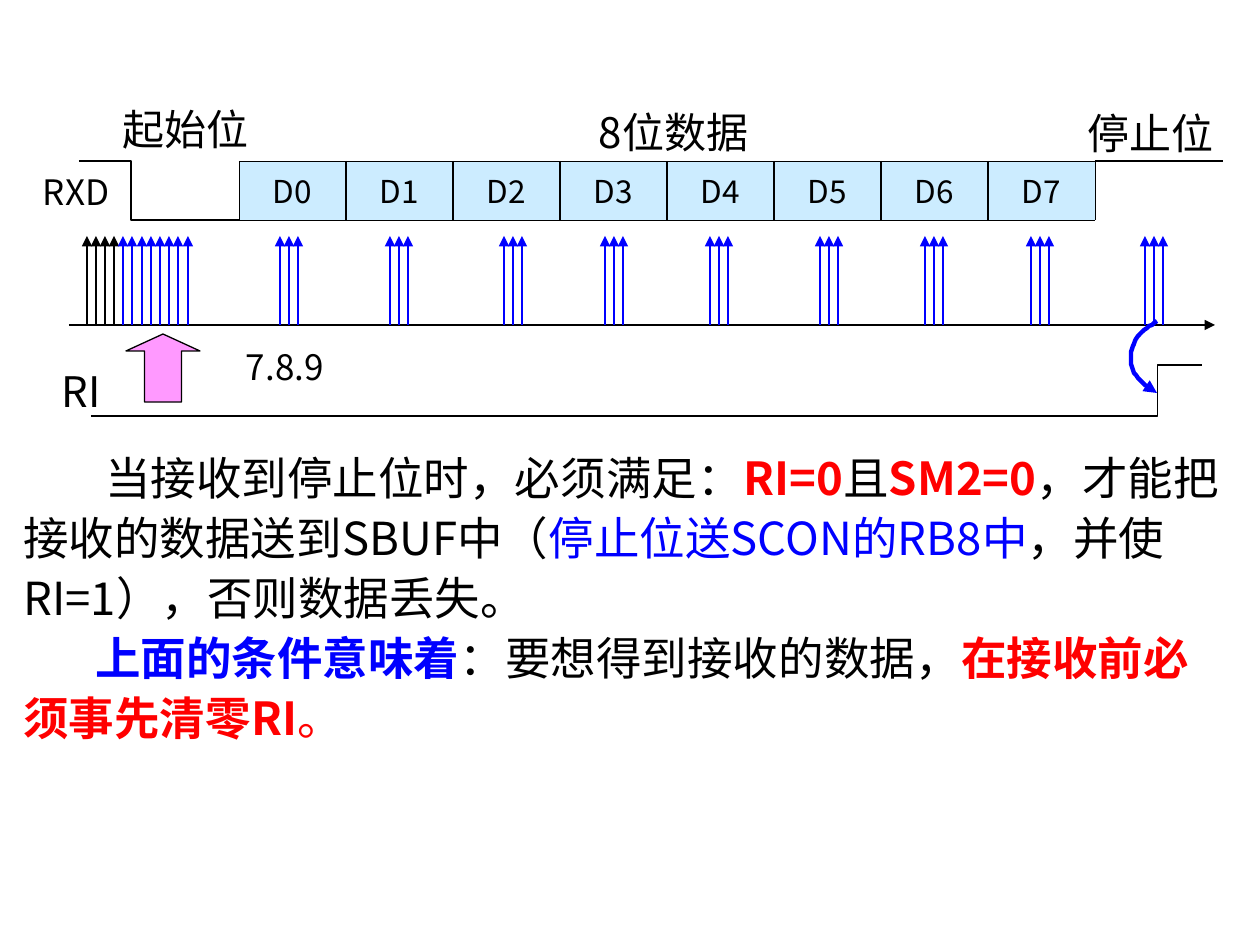
from lxml import etree
from pptx import Presentation
from pptx.dml.color import RGBColor
from pptx.enum.shapes import MSO_CONNECTOR, MSO_SHAPE
from pptx.enum.text import MSO_ANCHOR, PP_ALIGN
from pptx.oxml.ns import qn
from pptx.util import Pt

STRAIGHT, ELBOW = MSO_CONNECTOR.STRAIGHT, MSO_CONNECTOR.ELBOW
RECTANGLE, UP_ARROW = MSO_SHAPE.RECTANGLE, MSO_SHAPE.UP_ARROW
MIDDLE, TOP = MSO_ANCHOR.MIDDLE, MSO_ANCHOR.TOP
CENTER, LEFT = PP_ALIGN.CENTER, PP_ALIGN.LEFT
SCALE = 914400 / 126
FONT = "Noto Sans CJK SC"
COLORS = {"black": "000000", "blue": "0000FF", "red": "FF0000",
          "cell": "CCECFF", "pink": "FF99FF"}


def px(value):
    return round(value * SCALE)


def color(name):
    return RGBColor.from_string(COLORS[name])


def add_run(paragraph, text, size, name="black", bold=False):
    run = paragraph.add_run()
    run.text = text
    for key, value in {"name": FONT, "size": Pt(size), "bold": bold}.items():
        setattr(run.font, key, value)
    run.font.color.rgb = color(name)
    east_asian = etree.SubElement(run.font._element, qn("a:ea"))
    east_asian.set("typeface", FONT)


def format_frame(frame, **values):
    for key, value in values.items():
        setattr(frame, key, value)


def add_label(slide, box, text, size, centered=False):
    shape = slide.shapes.add_textbox(*map(px, box))
    side = 0 if centered else px(13)
    format_frame(shape.text_frame, word_wrap=not centered,
                 vertical_anchor=MIDDLE if centered else TOP,
                 margin_left=side, margin_right=side)
    paragraph = shape.text_frame.paragraphs[0]
    paragraph.alignment = CENTER if centered else LEFT
    add_run(paragraph, text, size)


def format_line(line, name, width, arrow=False):
    line.color.rgb = color(name)
    line.width = Pt(width)
    if arrow:
        tail = etree.SubElement(line._get_or_add_ln(), qn("a:tailEnd"))
        tail.set("type", "triangle")


def add_line(slide, start, end, width, name="black", arrow=False, bend=None):
    kind = STRAIGHT if bend is None else ELBOW
    connector = slide.shapes.add_connector(kind, *map(px, (*start, *end)))
    format_line(connector.line, name, width, arrow)
    properties = connector._element.spPr
    etree.SubElement(properties, qn("a:effectLst"))
    if bend is not None:
        guides = properties.find(qn("a:prstGeom")).get_or_add_avLst()
        guide = etree.SubElement(guides, qn("a:gd"))
        guide.set("name", "adj1")
        guide.set("fmla", f"val {round(bend * 100000)}")


def add_preset(slide, kind, box, fill):
    shape = slide.shapes.add_shape(kind, *map(px, box))
    shape.shadow.inherit = False
    shape.fill.solid()
    shape.fill.fore_color.rgb = color(fill)
    shape.line.fill.background()
    return shape


def build_data_frame(slide, left, top):
    cell_width, cell_height, count = 107, 59, 8
    cells_left, cells_top = left + 208, top + 59
    cells_right = cells_left + count * cell_width
    cells_bottom = cells_top + cell_height
    add_line(slide, (left + 48, cells_top), (left + 227, cells_bottom),
             0.75, bend=0.29)
    for index in range(count):
        box = (cells_left + index * cell_width, cells_top, cell_width, cell_height)
        cell = add_preset(slide, RECTANGLE, box, "cell")
        format_frame(cell.text_frame, vertical_anchor=MIDDLE)
        paragraph = cell.text_frame.paragraphs[0]
        paragraph.alignment = CENTER
        add_run(paragraph, f"D{index}", 18)
    for y in (cells_top, cells_bottom):
        add_line(slide, (cells_left, y), (cells_right, y), 0.5)
    for index in range(count + 1):
        x = cells_left + index * cell_width
        add_line(slide, (x, cells_top), (x, cells_bottom),
                 0.5 if index in (0, count) else 1)
    add_line(slide, (cells_right, cells_top), (left + 1192, cells_top), 0.75)
    add_label(slide, (left + 85, top, 140, 54), "起始位", 24, True)
    add_label(slide, (left + 533, top + 5, 219, 49), "8位数据", 24, True)
    add_label(slide, (left + 1050, top + 4, 140, 54), "停止位", 24, True)
    add_label(slide, (left - 1, top + 62, 116, 54), "RXD", 20)


def build_sampling_axis(slide, left, top):
    height, black_count = 89, 4
    axis = top + height
    add_line(slide, (left, axis), (left + 1146, axis), 1.5, arrow=True)
    start_samples = [(18 + index * 101 // 11,
                      "black" if index < black_count else "blue")
                     for index in range(12)]
    group_lefts = (211, 321, 435, 536, 641, 751, 856, 962, 1076)
    bit_samples = [(start + index * 9, "blue")
                   for start in group_lefts for index in range(3)]
    for offset, name in start_samples + bit_samples:
        x = left + offset
        add_line(slide, (x, axis), (x, top), 1.5, name, True)
    add_label(slide, (left + 164, top + 103, 106, 55), "7.8.9", 20)


def cubic_points(start, first, second, end, steps=10):
    for step in range(1, steps + 1):
        t = step / steps
        weights = ((1 - t) ** 3, 3 * t * (1 - t) ** 2, 3 * t * t * (1 - t), t ** 3)
        yield tuple(sum(weight * point[axis] for weight, point
                        in zip(weights, (start, first, second, end)))
                    for axis in (0, 1))


def build_receive_flag(slide, left, top):
    add_line(slide, (left + 42, top + 95), (left + 1153, top + 44), 0.75, bend=0.96)
    arrow = add_preset(slide, UP_ARROW, (left + 77, top + 13, 74, 68), "pink")
    arrow.adjustments[0], arrow.adjustments[1] = 0.5, 0.25
    format_line(arrow.line, "black", 0.75)
    add_label(slide, (left, top + 38, 77, 63), "RI", 24)
    curve = [(28, 0), (19, 6), (10, 12), (6, 20), (2, 28), (0, 40),
             (4, 49), (8, 58), (18, 66), (28, 72)]
    curve = [(left + 1080 + x, top + y) for x, y in curve]
    builder = slide.shapes.build_freeform(*curve[0], scale=SCALE)
    for index in range(0, len(curve) - 1, 3):
        builder.add_line_segments(cubic_points(*curve[index:index + 4]), close=False)
    shape = builder.convert_to_shape()
    shape.shadow.inherit = False
    shape.fill.background()
    format_line(shape.line, "blue", 2.5, True)


def build_explanation(slide, left, top, width, height):
    paragraphs = [
        (82, [("当接收到停止位时，必须满足：", "black", False),
              ("RI=0", "red", True), ("且", "black", False),
              ("SM2=0", "red", True),
              ("，才能把接收的数据送到SBUF中（", "black", False),
              ("停止位送SCON的RB8中", "blue", False),
              ("，并使RI=1），否则数据丢失。", "black", False)]),
        (72, [("上面的条件意味着", "blue", True),
              ("：要想得到接收的数据，", "black", False),
              ("在接收前必须事先清零RI", "red", True),
              ("。", "red", False)]),
    ]
    shape = slide.shapes.add_textbox(*map(px, (left, top, width, height)))
    frame = shape.text_frame
    format_frame(frame, word_wrap=True)
    for index, (indent, runs) in enumerate(paragraphs):
        paragraph = frame.add_paragraph() if index else frame.paragraphs[0]
        paragraph.line_spacing = Pt(34.3)
        paragraph._p.get_or_add_pPr().set("indent", str(px(indent)))
        for text, name, bold in runs:
            add_run(paragraph, text, 26, name, bold)


def main():
    presentation = Presentation()
    presentation.slide_width, presentation.slide_height = px(1260), px(945)
    slide = presentation.slides.add_slide(presentation.slide_layouts[6])
    build_explanation(slide, 11, 438, 1235, 314)
    build_data_frame(slide, 31, 102)
    build_sampling_axis(slide, 69, 236)
    build_receive_flag(slide, 49, 321)
    presentation.save("out.pptx")


if __name__ == "__main__":
    main()
